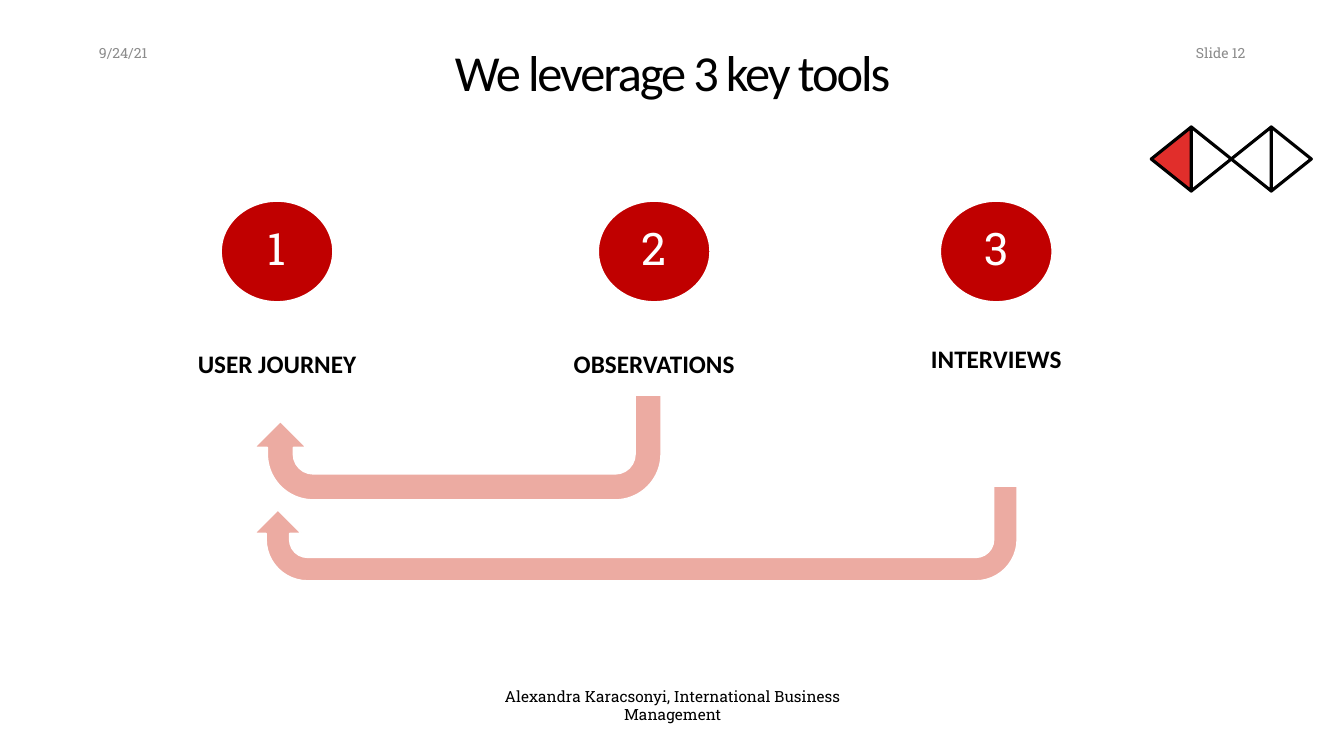
import pptx
import pptx.util
import pptx.dml.color
import pptx.enum.shapes
import pptx.enum.text

# Content: all lengths in px
TITLE = ("We leverage 3 key tools", (93, 40, 1159, 72))
DATE = ("9/24/21", (89, 35, 403, 35))
PAGE = ("Slide 12", (1154, 35, 101, 35))
FOOT = ("Alexandra Karacsonyi, International Business Management",
        (451, 690, 443, 31))
# name, disc centre, label top, label width
TOOLS = [
    ("USER JOURNEY", 277, 343, 180),
    ("OBSERVATIONS", 654, 343, 182),
    ("INTERVIEWS", 996, 338, 152),
]
DISC = {"top": 201, "wide": 112, "high": 101}
LABEL = 40
ARROWS = [(254, 395, 407, 105), (254, 486, 763, 95)]
MARK = {"left": 1139, "top": 139, "step": 40, "wide": 64, "high": 40}

THEME = {
    "head": "Calibri", "body": "Roboto Slab",
    "black": "000000", "white": "FFFFFF", "grey": "8C8C8C",
    "disc": "C00000", "arrow": "ECABA2", "mark": "E12E2B",
    "title": 36, "number": 32, "label": 18, "foot": 11, "small": 10,
}

SCALE = 914400 / 100.8
KIND = pptx.enum.shapes.MSO_SHAPE
ALIGN = pptx.enum.text.PP_ALIGN
ANCHOR = pptx.enum.text.MSO_ANCHOR


def px(*vals):
    return [round(v * SCALE) for v in vals]


def tint(name):
    return pptx.dml.color.RGBColor.from_string(THEME[name])


def write(shape, text, size, face, ink, align, anchor, bold=False, wrap=True):
    frame = shape.text_frame
    frame.word_wrap = wrap
    frame.vertical_anchor = anchor
    para = frame.paragraphs[0]
    para.alignment = align
    run = para.add_run()
    run.text = text
    run.font.size = pptx.util.Pt(THEME[size])
    run.font.name = THEME[face]
    run.font.bold = bold
    run.font.color.rgb = tint(ink)
    return para, run


def draw(host, kind, box, fill, line=None, width=0, turn=0):
    shape = host.add_shape(kind, *px(*box))
    shape.shadow.inherit = False
    shape.rotation = turn
    shape.fill.solid()
    shape.fill.fore_color.rgb = tint(fill)
    if line:
        shape.line.color.rgb = tint(line)
        shape.line.width = pptx.util.Pt(width)
    else:
        shape.line.fill.background()
    return shape


def main():
    deck = pptx.Presentation()
    deck.slide_width = pptx.util.Inches(13.33)
    deck.slide_height = pptx.util.Inches(7.5)
    slide = deck.slides.add_slide(deck.slide_layouts[5])
    shapes = slide.shapes

    # Title
    text, box = TITLE
    title = shapes.title
    title.left, title.top, title.width, title.height = px(*box)
    frame = title.text_frame
    frame.auto_size = pptx.enum.text.MSO_AUTO_SIZE.NONE
    frame.margin_left = frame.margin_right = pptx.util.Inches(0.25)
    frame.margin_top = frame.margin_bottom = pptx.util.Inches(0.25)
    para, run = write(title, text, "title", "head", "black",
                      ALIGN.CENTER, ANCHOR.MIDDLE)
    para.line_spacing = 0.85
    run.font._element.set("spc", "-150")

    # Date, slide number and footer
    for (text, box), align in ((DATE, ALIGN.LEFT), (PAGE, ALIGN.RIGHT)):
        note = shapes.add_textbox(*px(*box))
        write(note, text, "small", "body", "grey", align, ANCHOR.MIDDLE)
    text, box = FOOT
    foot = draw(shapes, KIND.RECTANGLE, box, "white")
    write(foot, text, "foot", "body", "black", ALIGN.CENTER, ANCHOR.MIDDLE)

    # Double diamond, first half lit
    group = shapes.add_group_shape()
    for i in reversed(range(4)):
        box = (MARK["left"] + i * MARK["step"], MARK["top"],
               MARK["wide"], MARK["high"])
        draw(group.shapes, KIND.ISOSCELES_TRIANGLE, box,
             "white" if i else "mark", "black", 2.25, 90 if i % 2 else 270)

    # Numbered discs and labels
    for i, (name, mid, top, wide) in enumerate(TOOLS, 1):
        box = (mid - DISC["wide"] / 2, DISC["top"], DISC["wide"], DISC["high"])
        disc = draw(shapes, KIND.OVAL, box, "disc", "white", 1.25)
        write(disc, str(i), "number", "body", "white",
              ALIGN.CENTER, ANCHOR.TOP)
        box = (mid - wide / 2, top, wide, LABEL)
        label = draw(shapes, KIND.RECTANGLE, box, "white", "white", 0.75)
        write(label, name, "label", "head", "black",
              ALIGN.CENTER, ANCHOR.TOP, bold=True, wrap=False)

    # Return arrows
    for box in ARROWS:
        draw(shapes, KIND.U_TURN_ARROW, box, "arrow", "white", 1.25, 180)

    deck.save("out.pptx")


if __name__ == "__main__":
    main()
